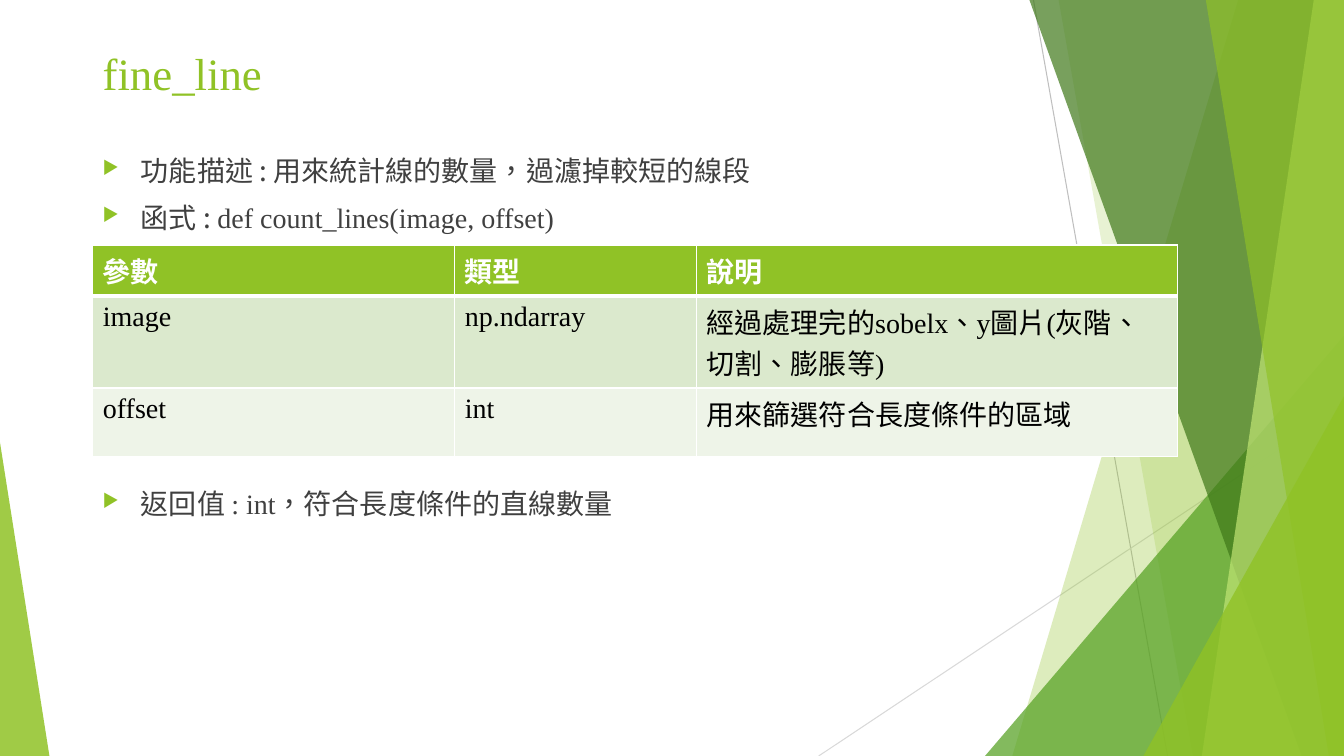
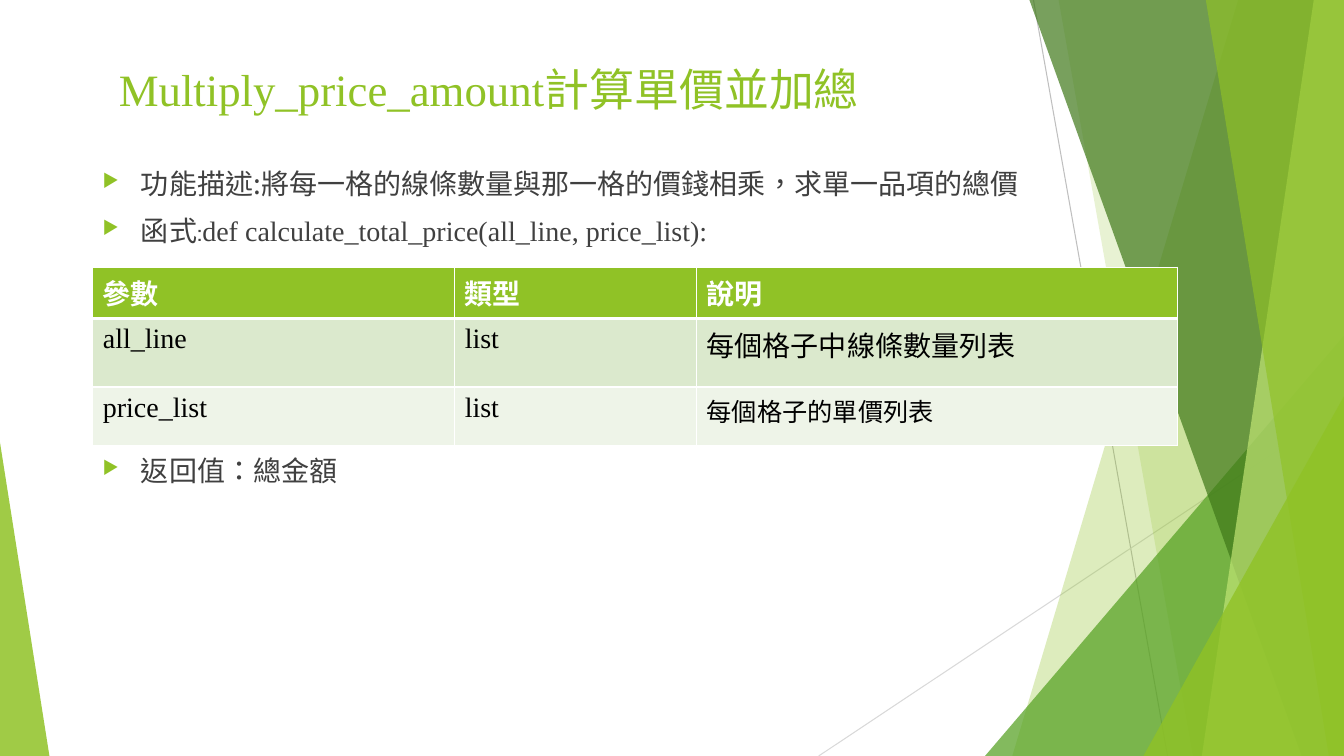
from dataclasses import dataclass

from lxml.etree import SubElement
from pptx import Presentation
from pptx.dml.color import RGBColor
from pptx.enum.shapes import MSO_CONNECTOR, MSO_SHAPE
from pptx.oxml.ns import qn
from pptx.util import Inches, Pt


@dataclass(frozen=True)
class Theme:
    green: str = "90C226"
    leaf: str = "54A021"
    forest: str = "3F7819"
    lime: str = "C0E474"
    body: str = "404040"
    black: str = "000000"
    white: str = "FFFFFF"
    light_line: str = "D9D9D9"
    dark_line: str = "BFBFBF"
    bands: tuple = ("DBE9CD", "EEF4E8")
    latin: str = "Times New Roman"
    asian: str = "Noto Sans CJK SC"
    accent: str = "Cabin"
    language: str = "zh-TW"
    title_size: int = 32
    text_size: int = 20
    small_size: int = 18


THEME = Theme()
WIDTH, HEIGHT = 13.33, 7.5


def color(value):
    return RGBColor.from_string(value)


def add_run(paragraph, text, size, fill, font=THEME.asian, bold=False):
    run = paragraph.add_run()
    run.text = text
    run.font.size = Pt(size)
    run.font.bold = bold
    run.font.name = font
    run.font.color.rgb = color(fill)
    properties = run._r.get_or_add_rPr()
    properties.set("lang", THEME.language)
    SubElement(properties, qn("a:ea")).set("typeface", THEME.asian)


def add_text_frame(slide, left, top, width, height):
    box = slide.shapes.add_textbox(Inches(left), Inches(top), Inches(width), Inches(height))
    box.text_frame.word_wrap = True
    return box.text_frame


def paint(shape, fill, opacity):
    shape.shadow.inherit = False
    shape.fill.solid()
    shape.fill.fore_color.rgb = color(fill)
    shape.line.fill.background()
    solid = shape._element.spPr.find(qn("a:solidFill"))
    SubElement(solid[0], qn("a:alpha")).set("val", str(opacity * 1000))


def add_line(slide, start, end, stroke):
    line = slide.shapes.add_connector(
        MSO_CONNECTOR.STRAIGHT, *(Inches(value) for value in (*start, *end))
    )
    line.line.color.rgb = color(stroke)
    line.line.width = Pt(0.75)
    SubElement(line._element.spPr, qn("a:effectLst"))


def add_ray(slide, top_left, bottom_left, fill, opacity):
    corners = [(WIDTH, 0), (WIDTH, HEIGHT), (bottom_left, HEIGHT)]
    builder = slide.shapes.build_freeform(Inches(top_left), 0)
    builder.add_line_segments([(Inches(x), Inches(y)) for x, y in corners], close=True)
    paint(builder.convert_to_shape(), fill, opacity)


def add_triangle(slide, left, right, top, apex, fill, opacity):
    shape = slide.shapes.add_shape(
        MSO_SHAPE.ISOSCELES_TRIANGLE,
        Inches(left), Inches(top), Inches(right - left), Inches(HEIGHT - top),
    )
    shape.adjustments[0] = apex
    paint(shape, fill, opacity)


def add_backdrop(slide):
    add_line(slide, (10.25, 0), (11.58, HEIGHT), THEME.dark_line)
    add_line(slide, (WIDTH, 4.03), (8.12, HEIGHT), THEME.light_line)
    add_ray(slide, 12.28, 10.04, THEME.green, 30)
    add_ray(slide, 10.5, 11.83, THEME.green, 20)
    add_triangle(slide, 9.77, WIDTH, 3.33, 1, THEME.leaf, 72)
    add_ray(slide, 10.21, 12.91, THEME.forest, 70)
    add_ray(slide, 13.03, 11.92, THEME.lime, 70)
    add_ray(slide, 11.96, 13.18, THEME.green, 65)
    add_triangle(slide, 11.34, WIDTH, 3.93, 1, THEME.green, 80)
    add_triangle(slide, 0, 0.49, 4.39, 0, THEME.green, 85)


def add_title(slide, left, top, runs):
    paragraph = add_text_frame(slide, left, top, 11.5, 1.07).paragraphs[0]
    for text, font in runs:
        add_run(paragraph, text, THEME.title_size, THEME.green, font)


def add_bullet(paragraph):
    properties = paragraph._p.get_or_add_pPr()
    properties.set("marL", str(Inches(0.38)))
    properties.set("indent", str(-Inches(0.38)))
    bullet_color = SubElement(properties, qn("a:buClr"))
    SubElement(bullet_color, qn("a:srgbClr")).set("val", THEME.green)
    SubElement(properties, qn("a:buSzPct")).set("val", "66000")
    SubElement(properties, qn("a:buChar")).set("char", "▶")


def add_body(slide, left, top, width, bullets, table_gap):
    frame = add_text_frame(slide, left, top, width, 4.76)
    for index, runs in enumerate(bullets):
        paragraph = frame.add_paragraph() if index else frame.paragraphs[0]
        paragraph.space_before = Pt(table_gap if index == len(bullets) - 1 else 10)
        add_bullet(paragraph)
        for text, font, size in runs:
            add_run(paragraph, text, size, THEME.body, font)


def style_cell(cell, fill, bottom_width):
    cell.fill.solid()
    cell.fill.fore_color.rgb = color(fill)
    properties = cell._tc.get_or_add_tcPr()
    sides = (("lnL", 1), ("lnR", 1), ("lnT", 1), ("lnB", bottom_width))
    for index, (side, width) in enumerate(sides):
        border = SubElement(properties, qn(f"a:{side}"))
        border.set("w", str(Pt(width)))
        solid = SubElement(border, qn("a:solidFill"))
        SubElement(solid, qn("a:srgbClr")).set("val", THEME.white)
        properties.insert(index, border)


def add_parameter_table(slide, left, top, row_heights, parameters, last_size):
    column_widths = (3.59, 2.4, 4.77)
    rows = [("參數", "類型", "說明"), *parameters]
    table = slide.shapes.add_table(
        len(rows), len(column_widths), Inches(left), Inches(top),
        Inches(sum(column_widths)), Inches(sum(row_heights)),
    ).table
    table.horz_banding = False
    for column, width in zip(table.columns, column_widths):
        column.width = Inches(width)
    for row_index, (values, height) in enumerate(zip(rows, row_heights)):
        table.rows[row_index].height = Inches(height)
        header = row_index == 0
        fill = THEME.green if header else THEME.bands[(row_index - 1) % 2]
        for column_index, value in enumerate(values):
            cell = table.cell(row_index, column_index)
            style_cell(cell, fill, 3 if header else 1)
            last = row_index == len(rows) - 1 and column_index == len(values) - 1
            add_run(
                cell.text_frame.paragraphs[0], value,
                last_size if last else THEME.text_size,
                THEME.white if header else THEME.black,
                THEME.asian if header or last else THEME.latin, header,
            )


def add_function_slide(presentation, title, body, table):
    slide = presentation.slides.add_slide(presentation.slide_layouts[6])
    add_backdrop(slide)
    add_title(slide, *title)
    add_body(slide, *body)
    add_parameter_table(slide, *table)


def main():
    presentation = Presentation()
    presentation.slide_width = Inches(WIDTH)
    presentation.slide_height = Inches(HEIGHT)
    latin, asian, size = THEME.latin, THEME.asian, THEME.text_size

    add_function_slide(
        presentation,
        title=(0.92, 0.4, [("fine_line", latin)]),
        body=(0.92, 1.47, 11.5, [
            [("功能描述 : 用來統計線的數量，過濾掉較短的線段", asian, size)],
            [("函式 : ", asian, size), ("def count_lines(image, offset)", latin, size)],
            [("返回值 ", asian, size), (": int，", latin, size),
             ("符合長度條件的直線數量", asian, size)],
        ], 180),
        table=(0.92, 2.43, (0.51, 0.91, 0.68), [
            ("image", "np.ndarray", "經過處理完的sobelx、y圖片(灰階、切割、膨脹等)"),
            ("offset", "int", "用來篩選符合長度條件的區域"),
        ], size),
    )
    add_function_slide(
        presentation,
        title=(1.08, 0.56, [("Multiply_price_amount", latin), ("計算單價並加總", asian)]),
        body=(0.92, 1.6, 12.02, [
            [("功能描述:將每一格的線條數量與那一格的價錢相乘，求單一品項的總價", asian, size)],
            [("函式", asian, size), (":", THEME.accent, THEME.small_size),
             ("def calculate_total_price(all_line, price_list):", latin, size)],
            [("返回值：總金額", asian, size)],
        ], 147),
        table=(0.92, 2.65, (0.51, 0.68, 0.58), [
            ("all_line", "list", "每個格子中線條數量列表"),
            ("price_list", "list", "每個格子的單價列表"),
        ], THEME.small_size),
    )
    presentation.save("out.pptx")


if __name__ == "__main__":
    main()
